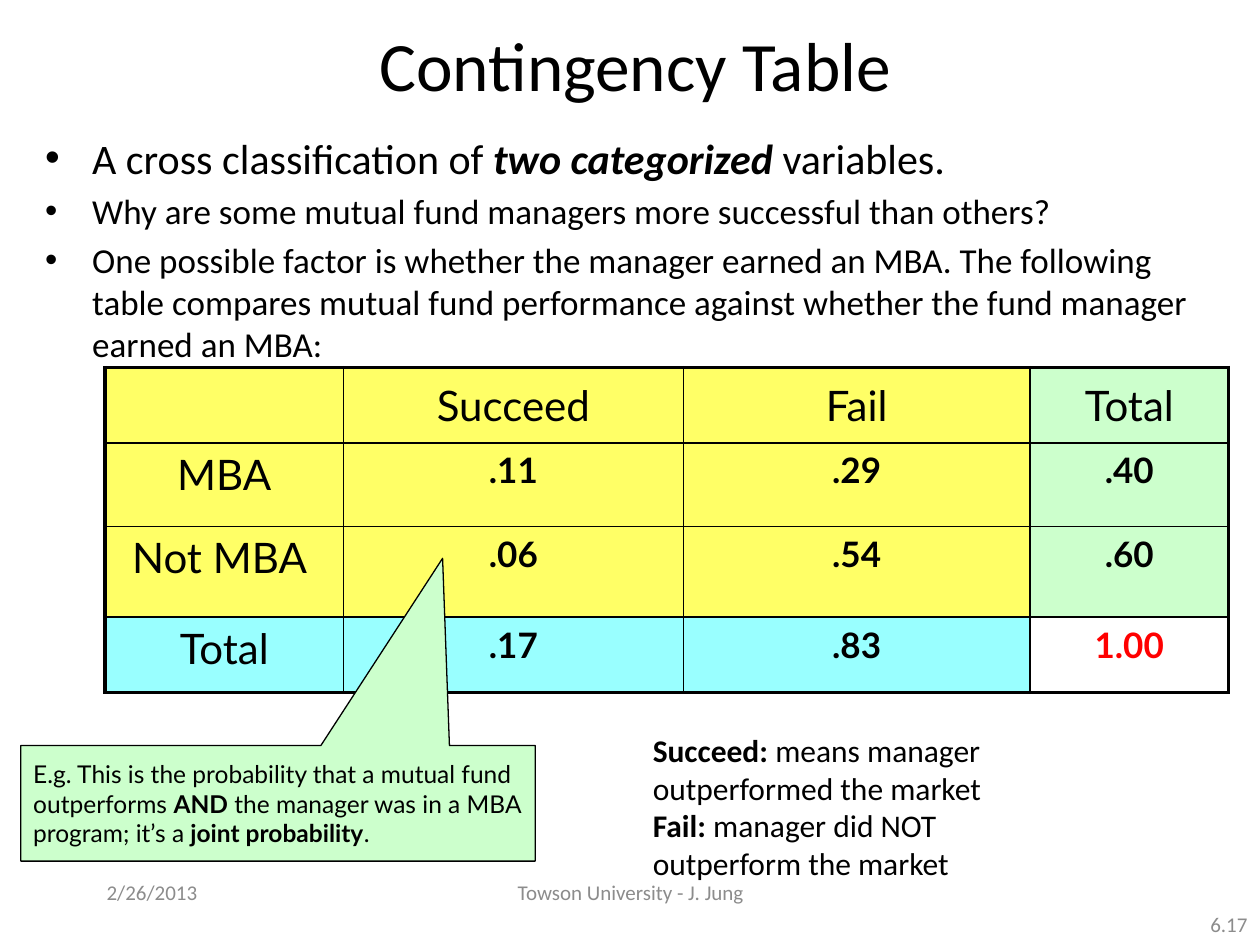
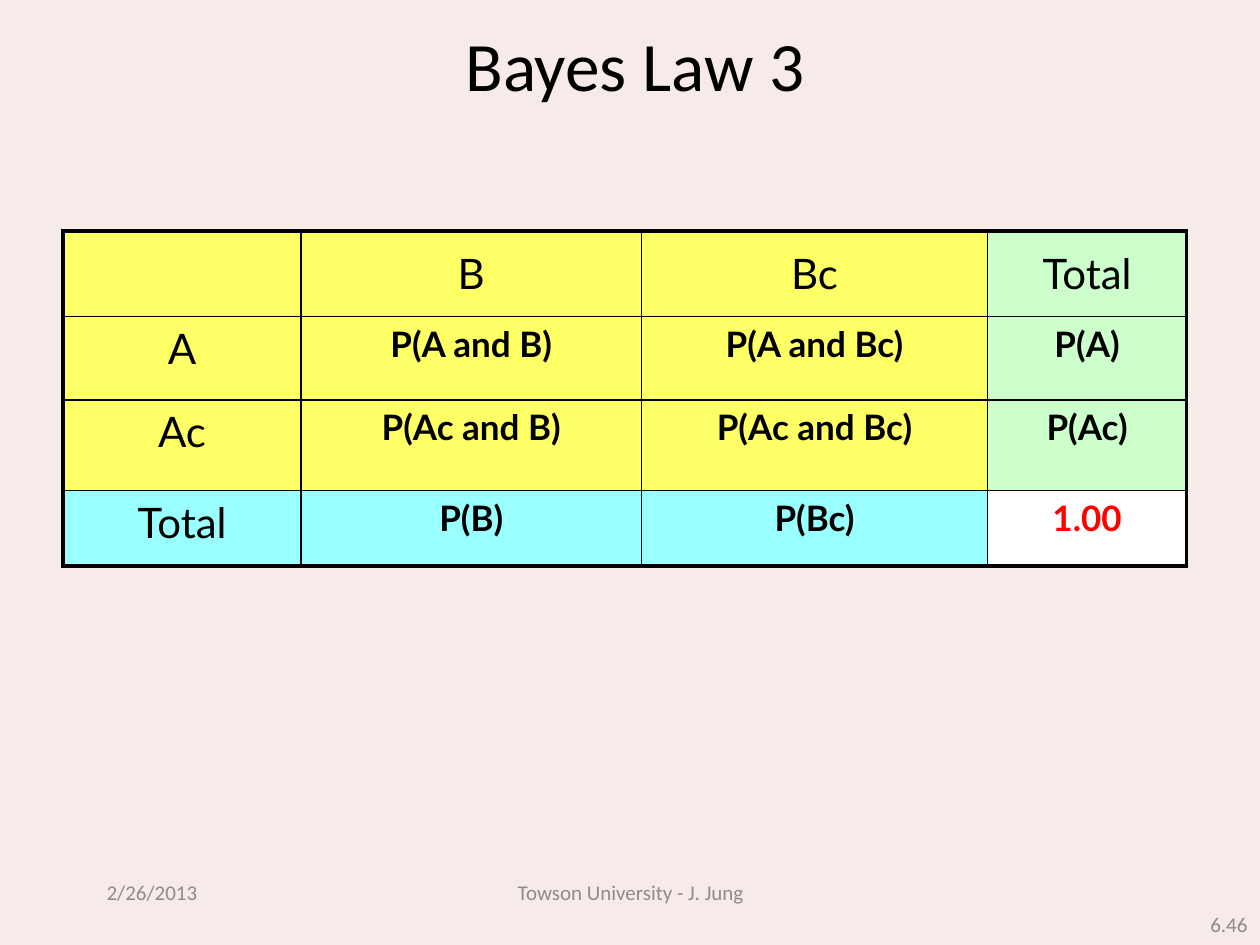
"""Build two probability table slides: a contingency table and Bayes law."""
from dataclasses import dataclass
from typing import Optional, Sequence

from lxml.etree import SubElement
from pptx import Presentation
from pptx.dml.color import RGBColor
from pptx.enum.shapes import MSO_SHAPE as Shape
from pptx.enum.text import MSO_ANCHOR as Anchor, PP_ALIGN as Align
from pptx.oxml.ns import qn
from pptx.util import Cm, Pt

COLORS = {
    "ink": "000000",
    "footer": "8C8C8C",
    "joint": "FFFF66",
    "row_total": "CCFFCC",
    "column_total": "99FFFF",
    "grand_total": "FFFFFF",
    "grand_text": "FF0000",
    "white_page": "FFFFFF",
    "rose_page": "F6EBE9",
}
HEADING_FONT = "Calibri"
TABLE_FONT = "Lato"
COLUMN_WIDTHS = (4.8, 6.86, 6.98, 4.01)
BODY_ROW_HEIGHTS = (1.68, 1.83, 1.52)
THIN, THICK = Pt(1), Pt(2.25)
BULLET_INDENT = Cm(0.95)


@dataclass(frozen=True)
class Area:
    left: float
    top: float
    width: float
    height: float

    def lengths(self) -> tuple:
        return Cm(self.left), Cm(self.top), Cm(self.width), Cm(self.height)


@dataclass(frozen=True)
class Span:
    text: str
    bold: Optional[bool] = None
    italic: Optional[bool] = None


@dataclass(frozen=True)
class Para:
    spans: Sequence[Span]
    size: float
    font: str = HEADING_FONT
    color: str = "ink"
    align: Align = Align.LEFT
    bold: Optional[bool] = None
    bullet: bool = False


@dataclass(frozen=True)
class TextBox:
    area: Area
    paras: Sequence[Para]
    anchor: Anchor = Anchor.TOP


@dataclass(frozen=True)
class ProbabilityTable:
    left: float
    top: float
    header_height: float
    rows: Sequence[Sequence[str]]


def rgb(name: str) -> RGBColor:
    return RGBColor.from_string(COLORS[name])


def write_para(paragraph, para: Para, first: bool) -> None:
    if para.bullet:
        properties = paragraph._p.get_or_add_pPr()
        properties.set("marL", str(BULLET_INDENT))
        properties.set("indent", str(-BULLET_INDENT))
        SubElement(properties, qn("a:buFont")).set("typeface", "Arial")
        SubElement(properties, qn("a:buChar")).set("char", "•")
        if not first:
            paragraph.space_before = Pt(4)
    paragraph.alignment = para.align
    font = paragraph.font
    font.name, font.size, font.bold = para.font, Pt(para.size), para.bold
    font.color.rgb = rgb(para.color)
    for span in para.spans:
        run = paragraph.add_run()
        run.text = span.text
        if span.bold is not None:
            run.font.bold = span.bold
        if span.italic is not None:
            run.font.italic = span.italic


def write_frame(frame, paras: Sequence[Para], anchor: Anchor) -> None:
    frame.word_wrap = True
    frame.vertical_anchor = anchor
    for index, para in enumerate(paras):
        paragraph = frame.add_paragraph() if index else frame.paragraphs[0]
        write_para(paragraph, para, first=index == 0)


def add_text(page, text_box: TextBox) -> None:
    box = page.shapes.add_textbox(*text_box.area.lengths())
    write_frame(box.text_frame, text_box.paras, text_box.anchor)


def add_callout(page, callout: TextBox, tip: Sequence[float]) -> None:
    box = page.shapes.add_shape(Shape.RECTANGULAR_CALLOUT, *callout.area.lengths())
    box.shadow.inherit = False
    for index, offset in enumerate(tip):
        box.adjustments[index] = offset
    box.fill.solid()
    box.fill.fore_color.rgb = rgb("row_total")
    box.line.color.rgb = rgb("ink")
    box.line.width = Pt(0.75)
    write_frame(box.text_frame, callout.paras, callout.anchor)


def set_borders(cell, widths: dict) -> None:
    properties = cell._tc.get_or_add_tcPr()
    for side, width in widths.items():
        line = SubElement(properties, qn(f"a:ln{side}"), w=str(width))
        fill = SubElement(line, qn("a:solidFill"))
        SubElement(fill, qn("a:srgbClr"), val=COLORS["ink"])


def cell_fill(last_row: bool, last_column: bool) -> str:
    if last_row:
        return "grand_total" if last_column else "column_total"
    return "row_total" if last_column else "joint"


def add_probability_table(page, spec_table: ProbabilityTable) -> None:
    heights = (spec_table.header_height, *BODY_ROW_HEIGHTS)
    area = Area(spec_table.left, spec_table.top, sum(COLUMN_WIDTHS), sum(heights))
    table = page.shapes.add_table(
        len(heights), len(COLUMN_WIDTHS), *area.lengths()
    ).table
    table.first_row = table.horz_banding = False
    for column, width in zip(table.columns, COLUMN_WIDTHS):
        column.width = Cm(width)
    for row, height in zip(table.rows, heights):
        row.height = Cm(height)
    for i, texts in enumerate(spec_table.rows):
        for j, text in enumerate(texts):
            cell = table.cell(i, j)
            last_row, last_column = i == len(heights) - 1, j == len(texts) - 1
            set_borders(cell, {
                "L": THIN if j else THICK,
                "R": THICK if last_column else THIN,
                "T": THIN if i else THICK,
                "B": THICK if last_row else THIN,
            })
            cell.fill.solid()
            cell.fill.fore_color.rgb = rgb(cell_fill(last_row, last_column))
            cell.vertical_anchor = Anchor.TOP if i else Anchor.MIDDLE
            is_value = i > 0 and j > 0
            color = "grand_text" if last_row and last_column else "ink"
            para = Para([Span(text)] if text else [], 20 if is_value else 24,
                        TABLE_FONT, color, Align.CENTER, is_value)
            write_para(cell.text_frame.paragraphs[0], para, first=True)


def add_page(deck, title: str, number: str, background: str):
    page = deck.slides.add_slide(deck.slide_layouts[6])
    page.background.fill.solid()
    page.background.fill.fore_color.rgb = rgb(background)
    heading = Para([Span(title)], 39.6, align=Align.CENTER)
    add_text(page, TextBox(Area(0.64, 0.43, 24.33, 1.7), [heading], Anchor.MIDDLE))
    footers = (
        ("2/26/2013", Area(1.9, 17.35, 5.28, 1.27), Align.LEFT),
        ("Towson University - J. Jung", Area(8.69, 17.35, 8.05, 1.27), Align.CENTER),
        (number, Area(20.12, 18.21, 5.28, 0.85), Align.RIGHT),
    )
    for text, area, align in footers:
        para = Para([Span(text)], 12, color="footer", align=align)
        add_text(page, TextBox(area, [para], Anchor.MIDDLE))
    return page


def build_contingency(deck) -> None:
    page = add_page(deck, "Contingency Table", "6.17", "white_page")
    add_text(page, TextBox(Area(0.66, 2.54, 24.31, 4.8), [
        Para([Span("A cross classification of "),
              Span("two categorized", True, True),
              Span(" variables.")], 24, bullet=True),
        Para([Span("Why are some mutual fund managers more successful than others?")],
             20, bullet=True),
        Para([Span("One possible factor is whether the manager earned an MBA. "
                   "The following table compares mutual fund performance against "
                   "whether the fund manager earned an MBA:")], 20, bullet=True),
    ]))
    add_probability_table(page, ProbabilityTable(2.12, 7.41, 1.52, (
        ("", "Succeed", "Fail", "Total"),
        ("MBA", ".11", ".29", ".40"),
        ("Not MBA ", ".06", ".54", ".60"),
        ("Total", ".17", ".83", "1.00"),
    )))
    add_callout(page, TextBox(Area(0.42, 15.03, 10.37, 2.33), [
        Para([Span("E.g. This is the probability that a mutual fund outperforms "),
              Span("AND", True),
              Span(" the manager was in a MBA program; it’s a"),
              Span(" joint probability", True),
              Span(".")], 14, TABLE_FONT),
    ], Anchor.MIDDLE), tip=(0.32, -2.12))
    add_text(page, TextBox(Area(12.91, 14.61, 8.68, 3.33), [
        Para([Span("Succeed: ", True),
              Span("means manager outperformed the market")], 18),
        Para([Span("Fail: ", True),
              Span("manager did NOT outperform the market")], 18),
    ]))


def build_bayes(deck) -> None:
    page = add_page(deck, "Bayes Law 3", "6.46", "rose_page")
    add_probability_table(page, ProbabilityTable(1.27, 4.66, 1.72, (
        ("", "B", "Bc", "Total"),
        ("A", "P(A and B)", "P(A and Bc)", "P(A)"),
        ("Ac", "P(Ac and B)", "P(Ac and Bc)", "P(Ac)"),
        ("Total", "P(B)", "P(Bc)", "1.00"),
    )))


def main() -> None:
    deck = Presentation()
    deck.slide_width, deck.slide_height = Cm(25.4), Cm(19.05)
    build_contingency(deck)
    build_bayes(deck)
    deck.save("out.pptx")


if __name__ == "__main__":
    main()
